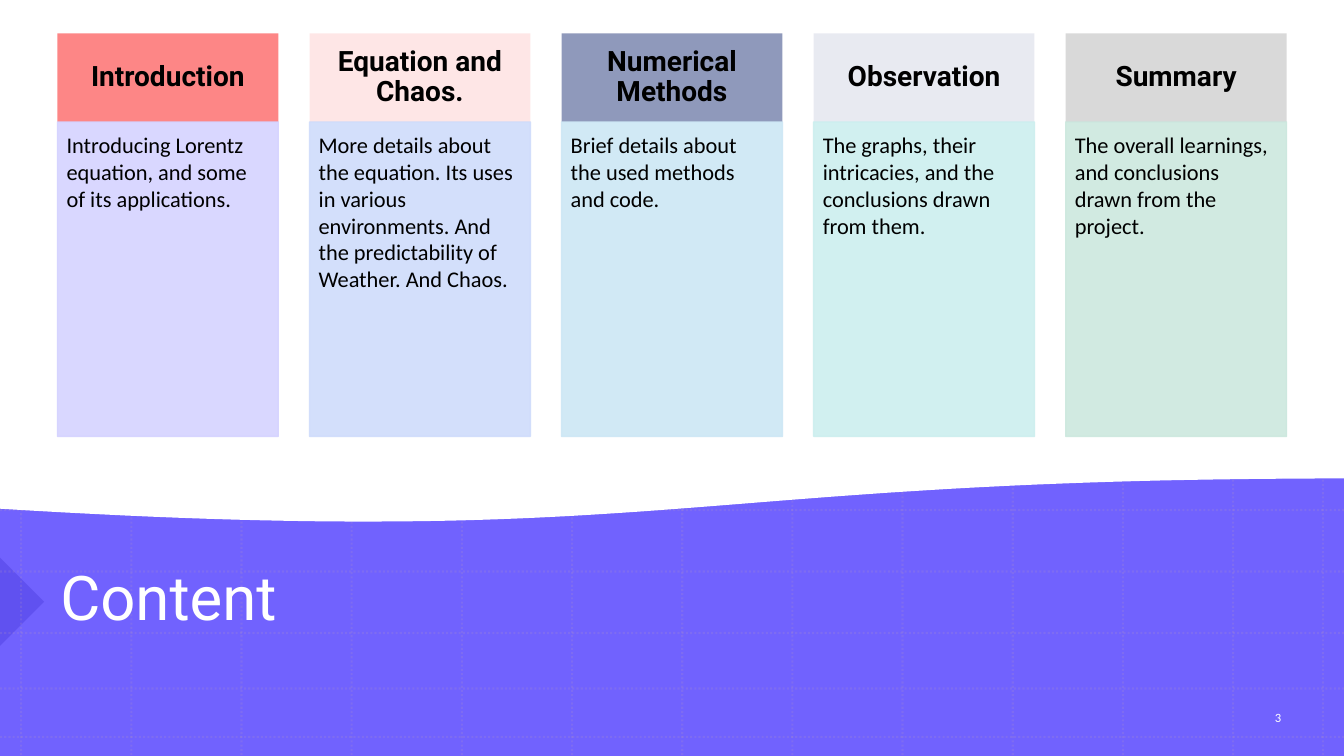
"""Build the Content slide: five topic columns above a purple wave with a dotted grid."""
from dataclasses import dataclass

from lxml import etree
from pptx import Presentation
from pptx.dml.color import RGBColor
from pptx.enum.dml import MSO_LINE
from pptx.enum.shapes import MSO_CONNECTOR, MSO_SHAPE
from pptx.enum.text import MSO_ANCHOR, PP_ALIGN
from pptx.oxml.ns import qn
from pptx.shapes.autoshape import Shape
from pptx.shapes.base import BaseShape
from pptx.slide import Slide
from pptx.util import Inches, Pt

RECTANGLE = MSO_SHAPE.RECTANGLE
RIGHT_TRIANGLE = MSO_SHAPE.RIGHT_TRIANGLE
STRAIGHT = MSO_CONNECTOR.STRAIGHT
DOTTED = MSO_LINE.ROUND_DOT
TOP, MIDDLE = MSO_ANCHOR.TOP, MSO_ANCHOR.MIDDLE
LEFT, CENTER = PP_ALIGN.LEFT, PP_ALIGN.CENTER

WIDTH, HEIGHT = 13.33, 7.5
COLORS = {
    "purple": "7162FE", "indigo": "1201AF", "grid": "B495C2",
    "white": "FFFFFF", "black": "000000",
    "coral": "FD8686", "slate": "8F99BB", "gray": "D9D9D9",
    "lavender": "D5D3FF", "periwinkle": "CFDCFB", "sky": "CDE7F5",
    "aqua": "CCEFEF", "mint": "CCE8DE",
}
COLUMN_LEFT, COLUMN_PITCH, COLUMN_WIDTH = 0.57, 2.5, 2.19
HEADER_TOP, HEADER_HEIGHT, BODY_HEIGHT = 0.33, 0.88, 3.12
GRID_LEFT, GRID_RIGHT, GRID_INTERVALS = 0.21, 12.23, 11
GRID_PITCH = (GRID_RIGHT - GRID_LEFT) / GRID_INTERVALS
GRID_COLUMNS = [GRID_LEFT + GRID_PITCH * index for index in range(GRID_INTERVALS + 1)] + [13.12]
GRID_ROWS = [5.06, 5.67, 6.28, 6.83, 7.31]
WAVE_CURVE = [(13.35, 4.74), (6.7, 4.74), (6.66, 5.45), (0, 5.04)]
WAVE_TOP = -0.03
WAVE_STEPS = 60


@dataclass(frozen=True)
class Box:
    left: float
    top: float
    width: float
    height: float


@dataclass(frozen=True)
class TextStyle:
    font: str
    size: float
    color: str
    bold: bool = False
    align: PP_ALIGN = LEFT
    anchor: MSO_ANCHOR = MIDDLE
    line_spacing: float = 1.0
    insets: tuple[float, float, float, float] = (0.1, 0.05, 0.1, 0.05)


@dataclass(frozen=True)
class Topic:
    heading: str
    details: str
    header_color: str
    header_opacity: int
    body_color: str


TITLE = TextStyle("Roboto", 44, "white", line_spacing=0.9)
NUMBER = TextStyle("Calibri", 9, "white", align=CENTER)
HEADING = TextStyle("Roboto", 20, "black", bold=True, align=CENTER,
                    line_spacing=0.9, insets=(0.16, 0.09, 0.16, 0.09))
DETAILS = TextStyle("Calibri", 16, "black", anchor=TOP, insets=(0.09, 0.09, 0.12, 0.14))

TOPICS = [
    Topic("Introduction", "Introducing Lorentz equation, and some of its applications.",
          "coral", 100, "lavender"),
    Topic("Equation and Chaos.",
          "More details about the equation. Its uses in various environments. "
          "And the predictability of Weather. And Chaos.",
          "coral", 20, "periwinkle"),
    Topic("Numerical Methods", "Brief details about the used methods and code.",
          "slate", 100, "sky"),
    Topic("Observation", "The graphs, their intricacies, and the conclusions drawn from them.",
          "slate", 20, "aqua"),
    Topic("Summary", "The overall learnings, and conclusions drawn from the project.",
          "gray", 100, "mint"),
]


def rgb(name: str) -> RGBColor:
    return RGBColor.from_string(COLORS[name])


def set_opacity(shape: BaseShape, percent: int) -> None:
    for color in shape._element.spPr.iter(qn("a:srgbClr")):
        etree.SubElement(color, qn("a:alpha")).set("val", str(percent * 1000))


def paint(shape: Shape, color: str, opacity: int = 100, outlined: bool = False) -> None:
    shape.shadow.inherit = False
    shape.fill.solid()
    shape.fill.fore_color.rgb = rgb(color)
    if outlined:
        shape.line.color.rgb = rgb(color)
        shape.line.width = Pt(1)
    else:
        shape.line.fill.background()
    if opacity < 100:
        set_opacity(shape, opacity)


def add_block(slide: Slide, kind: MSO_SHAPE, box: Box, color: str,
              opacity: int = 100, outlined: bool = False) -> Shape:
    shape = slide.shapes.add_shape(kind, Inches(box.left), Inches(box.top),
                                   Inches(box.width), Inches(box.height))
    paint(shape, color, opacity, outlined)
    return shape


def write(shape: Shape, text: str, style: TextStyle) -> None:
    frame = shape.text_frame
    frame.word_wrap = True
    frame.vertical_anchor = style.anchor
    (frame.margin_left, frame.margin_top,
     frame.margin_right, frame.margin_bottom) = map(Inches, style.insets)
    paragraph = frame.paragraphs[0]
    paragraph.alignment = style.align
    paragraph.line_spacing = style.line_spacing
    run = paragraph.add_run()
    run.text = text
    run.font.name = style.font
    run.font.size = Pt(style.size)
    run.font.bold = style.bold
    run.font.color.rgb = rgb(style.color)


def add_label(slide: Slide, box: Box, text: str, style: TextStyle) -> None:
    label = slide.shapes.add_textbox(Inches(box.left), Inches(box.top),
                                     Inches(box.width), Inches(box.height))
    write(label, text, style)


def add_grid_line(slide: Slide, x1: float, y1: float, x2: float, y2: float) -> None:
    line = slide.shapes.add_connector(STRAIGHT, Inches(x1), Inches(y1), Inches(x2), Inches(y2))
    line.line.color.rgb = rgb("grid")
    line.line.width = Pt(1.5)
    line.line.dash_style = DOTTED
    etree.SubElement(line._element.spPr, qn("a:effectLst"))
    set_opacity(line, 20)


def curve_point(step: int) -> tuple[float, float]:
    t = step / WAVE_STEPS
    weights = ((1 - t) ** 3, 3 * t * (1 - t) ** 2, 3 * t ** 2 * (1 - t), t ** 3)
    x, y = (sum(weight * point[axis] for weight, point in zip(weights, WAVE_CURVE))
            for axis in (0, 1))
    return x, y


def add_wave(slide: Slide) -> None:
    right = WAVE_CURVE[0][0]
    edge = [curve_point(step) for step in range(WAVE_STEPS + 1)]
    outline = [(Inches(x), Inches(y)) for x, y in [(right, WAVE_TOP), *edge]]
    builder = slide.shapes.build_freeform(0, Inches(WAVE_TOP))
    builder.add_line_segments(outline, close=True)
    paint(builder.convert_to_shape(), "white", outlined=True)


def add_topic(slide: Slide, index: int, topic: Topic) -> None:
    left = COLUMN_LEFT + index * COLUMN_PITCH
    header = Box(left, HEADER_TOP, COLUMN_WIDTH, HEADER_HEIGHT)
    body = Box(left, HEADER_TOP + HEADER_HEIGHT, COLUMN_WIDTH, BODY_HEIGHT)
    write(add_block(slide, RECTANGLE, header, topic.header_color, topic.header_opacity),
          topic.heading, HEADING)
    write(add_block(slide, RECTANGLE, body, topic.body_color, 90, outlined=True),
          topic.details, DETAILS)


def main() -> None:
    presentation = Presentation()
    presentation.slide_width, presentation.slide_height = Inches(WIDTH), Inches(HEIGHT)
    slide = presentation.slides.add_slide(presentation.slide_layouts[6])
    add_block(slide, RECTANGLE, Box(0, 0, WIDTH, HEIGHT), "purple")
    marker = add_block(slide, RIGHT_TRIANGLE, Box(-0.31, 5.66, 0.62, 0.62), "indigo", 17)
    marker.rotation = 225
    for x in GRID_COLUMNS:
        add_grid_line(slide, x, 0, x, HEIGHT)
    for y in GRID_ROWS:
        add_grid_line(slide, 0, y, WIDTH, y)
    add_wave(slide)
    add_label(slide, Box(0.5, 5.09, 11.75, 1.74), "Content", TITLE)
    add_label(slide, Box(12.24, 6.92, 0.87, 0.4), "3", NUMBER)
    for index, topic in enumerate(TOPICS):
        add_topic(slide, index, topic)
    presentation.save("out.pptx")


if __name__ == "__main__":
    main()
